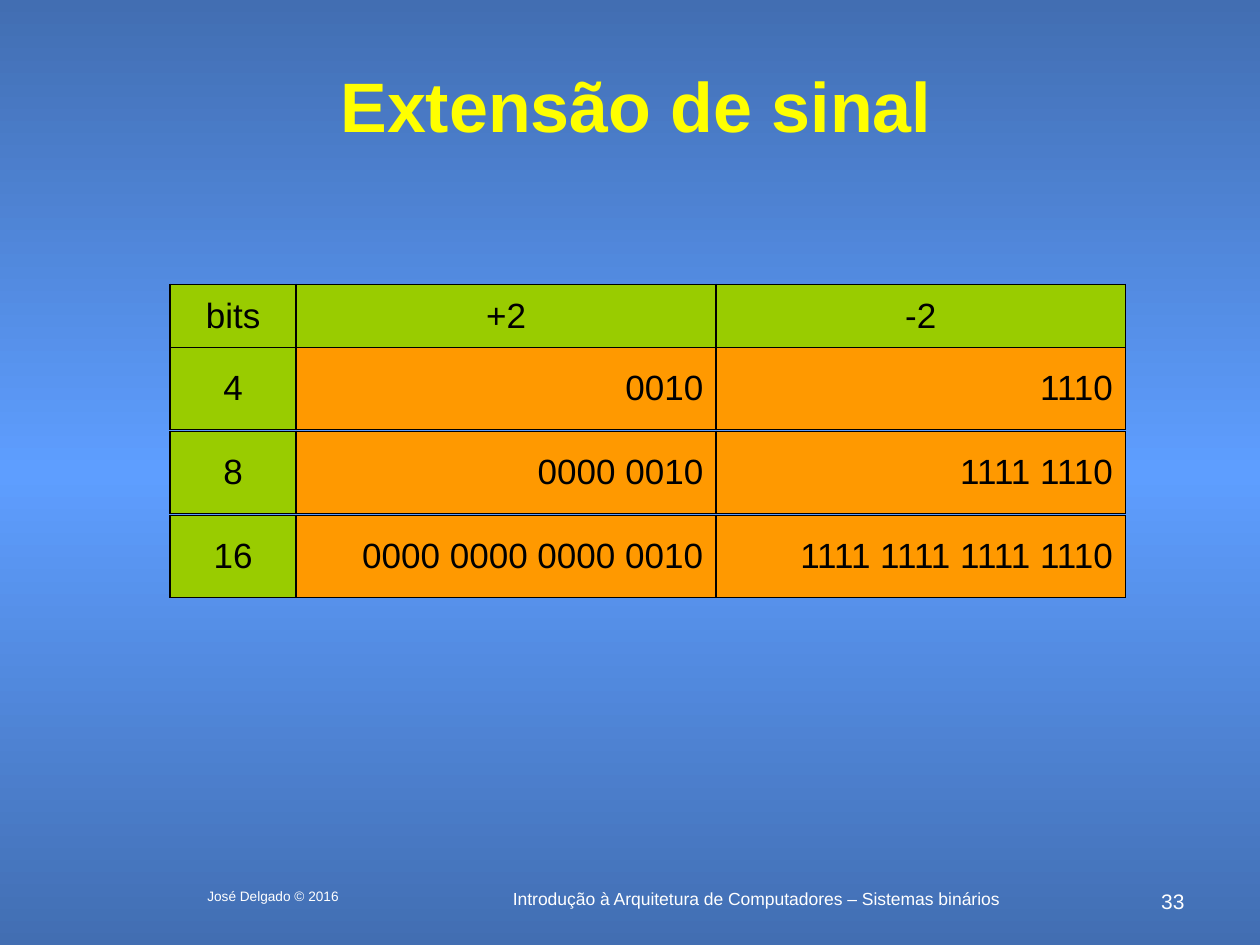
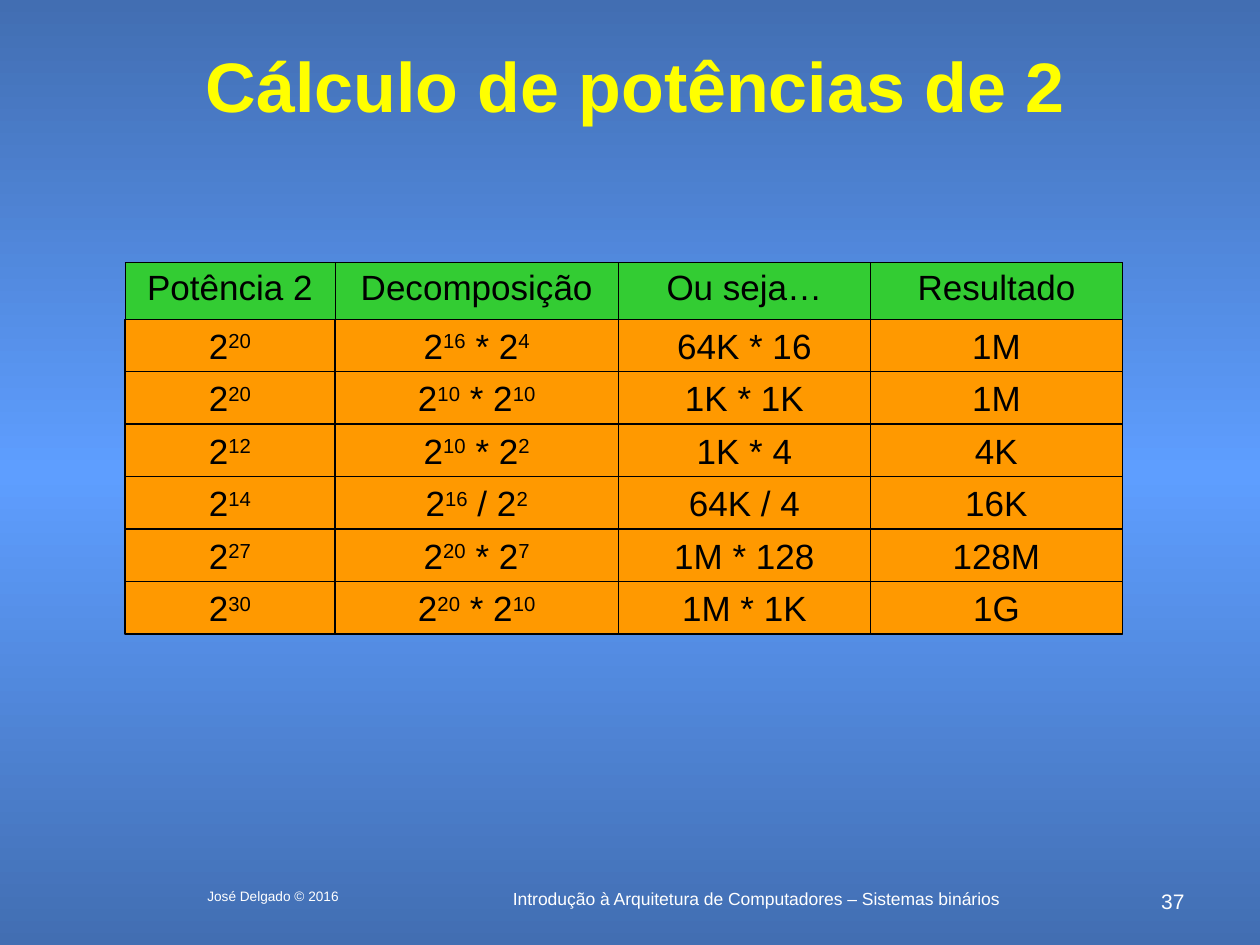
from copy import deepcopy
from dataclasses import dataclass

from lxml import etree
from pptx import Presentation
from pptx import util as u
from pptx.dml.color import RGBColor
from pptx.enum import shapes, text
from pptx.oxml import ns

LEFT, MID, RIGHT = text.PP_ALIGN.LEFT, text.PP_ALIGN.CENTER, text.PP_ALIGN.RIGHT
TOP, CENTRE = text.MSO_ANCHOR.TOP, text.MSO_ANCHOR.MIDDLE


@dataclass(frozen=True)
class Theme:
    font: str = "Arial"
    edge: str = "426EB2"
    glow: str = "5E9EFF"
    title: str = "FFFF00"
    foot: str = "FFFFFF"
    ink: str = "000000"
    lime: str = "99CC00"
    green: str = "33CC33"
    orange: str = "FF9900"
    title_size: float = 40
    body_size: float = 20
    page_size: float = 12
    foot_size: float = 10
    small_size: float = 7.8


def rgb(code):
    return RGBColor.from_string(code)


def grid(*counts):
    """Turn grid columns or rows, twelve to the inch, into lengths."""
    return [u.Inches(n / 12) for n in counts]


def split(words):
    """Yield (text, raised) runs; a caret raises what follows, up to a space."""
    first, *rest = words.split("^")
    yield first, False
    for part in rest:
        power, gap, tail = part.partition(" ")
        yield power, True
        if tail:
            yield gap + tail, False


def write(frame, words, *, font, size, color, bold=False, align=LEFT,
          anchor=TOP, wrap=True):
    frame.word_wrap = wrap
    frame.auto_size = text.MSO_AUTO_SIZE.NONE
    frame.vertical_anchor = anchor
    para = frame.paragraphs[0]
    para.alignment = align
    for piece, raised in split(words):
        run = para.add_run()
        run.text = piece
        run.font.name = font
        run.font.size = u.Pt(size)
        run.font.bold = bold
        run.font.color.rgb = rgb(color)
        if raised:
            run.font._element.set("baseline", "30000")


class Deck:
    def __init__(self, theme):
        self.theme = theme
        self.file = Presentation()
        self.file.slide_width, self.file.slide_height = grid(120, 90)
        self.slide = None
        self.shade()

    def shade(self):
        """Give the master a vertical gradient, brightest halfway down."""
        master = self.file.slide_master
        fill = master.background.fill
        fill.gradient()
        fill.gradient_angle = 90
        stops = next(master.element.iter(ns.qn("a:gsLst")))
        stops.insert(1, deepcopy(stops[0]))
        edge, glow = self.theme.edge, self.theme.glow
        for stop, place, code in zip(fill.gradient_stops, (0, 0.5, 1),
                                     (edge, glow, edge)):
            stop.position = place
            stop.color.rgb = rgb(code)

    def page(self, title, box, number):
        look = self.theme
        self.slide = self.file.slides.add_slide(self.file.slide_layouts[5])
        head = self.slide.shapes.title
        head.left, head.top, head.width, head.height = grid(*box)
        write(head.text_frame, title, font=look.font, size=look.title_size,
              color=look.title, bold=True, align=MID, anchor=CENTRE)
        self.label("Introdução à Arquitetura de Computadores – Sistemas binários",
                   (40, 84, 64, 3), look.foot_size)
        self.label(number, (109, 84, 5, 2), look.page_size, RIGHT)
        self.label("José Delgado © 2016", (16, 84, 20, 3), look.small_size)

    def label(self, words, box, size, align=MID):
        area = self.slide.shapes.add_textbox(*grid(*box))
        write(area.text_frame, words, font=self.theme.font, size=size,
              color=self.theme.foot, align=align)

    def strip(self, words, left, top, widths, height, fills, aligns, line,
              anchor=CENTRE):
        """Add a table of one row."""
        frame = self.slide.shapes.add_table(
            1, len(words), *grid(left, top, sum(widths), height))
        table = frame.table
        table.first_row = table.horz_banding = False
        for col, width in zip(table.columns, grid(*widths)):
            col.width = width
        for cell, word, fill, align in zip(table.rows[0].cells, words, fills, aligns):
            self.border(cell, line)
            cell.fill.solid()
            cell.fill.fore_color.rgb = rgb(fill)
            cell.vertical_anchor = anchor
            self.body(cell.text_frame, word, align=align)

    def border(self, cell, line):
        props = cell._tc.get_or_add_tcPr()
        for side in ("lnL", "lnR", "lnT", "lnB"):
            edge = etree.SubElement(props, ns.qn(f"a:{side}"), w=str(u.Pt(line)))
            fill = etree.SubElement(edge, ns.qn("a:solidFill"))
            etree.SubElement(fill, ns.qn("a:srgbClr"), val=self.theme.ink)

    def tile(self, words, box):
        shape = self.slide.shapes.add_shape(shapes.MSO_SHAPE.RECTANGLE, *grid(*box))
        shape.shadow.inherit = False
        shape.fill.solid()
        shape.fill.fore_color.rgb = rgb(self.theme.orange)
        shape.line.color.rgb = rgb(self.theme.ink)
        shape.line.width = u.Pt(0.75)
        self.body(shape.text_frame, words, align=MID, anchor=CENTRE, wrap=False)

    def body(self, frame, words, **form):
        write(frame, words, font=self.theme.font, size=self.theme.body_size,
              color=self.theme.ink, **form)


def signs(deck):
    look = deck.theme
    deck.page("Extensão de sinal", (6.25, 6, 108.6, 8), "33")
    left, top, widths, step = 16.2, 33.1, (12, 40, 39), 8
    deck.strip(("bits", "+2", "-2"), left, top - 6, widths, 6,
               [look.lime] * 3, [MID] * 3, 1.08)
    rows = [
        ("4", "0010", "1110"),
        ("8", "0000 0010", "1111 1110"),
        ("16", "0000 0000 0000 0010", "1111 1111 1111 1110"),
    ]
    for i, row in enumerate(rows):
        deck.strip(row, left, top + i * step, widths, 7.8,
                   (look.lime, look.orange, look.orange), (MID, RIGHT, RIGHT), 1.08)


def powers(deck):
    deck.page("Cálculo de potências de 2", (9, 4, 103, 8), "37")
    left, top, widths, step = 11.9, 30.4, (20, 27, 24, 24), 5
    deck.strip(("Potência 2", "Decomposição", "Ou seja…", "Resultado"),
               left, top - 5.4, widths, 5.4, [deck.theme.green] * 4, [MID] * 4,
               0.45, anchor=TOP)
    rows = [
        ("2^20", "2^16 * 2^4", "64K * 16", "1M"),
        ("2^20", "2^10 * 2^10", "1K * 1K", "1M"),
        ("2^12", "2^10 * 2^2", "1K * 4", "4K"),
        ("2^14", "2^16 / 2^2", "64K / 4", "16K"),
        ("2^27", "2^20 * 2^7", "1M * 128", "128M"),
        ("2^30", "2^20 * 2^10", "1M * 1K", "1G"),
    ]
    for i, row in enumerate(rows):
        for j, words in enumerate(row):
            deck.tile(words, (left + sum(widths[:j]), top + i * step, widths[j], step))


def main():
    deck = Deck(Theme())
    signs(deck)
    powers(deck)
    deck.file.save("out.pptx")


if __name__ == "__main__":
    main()
